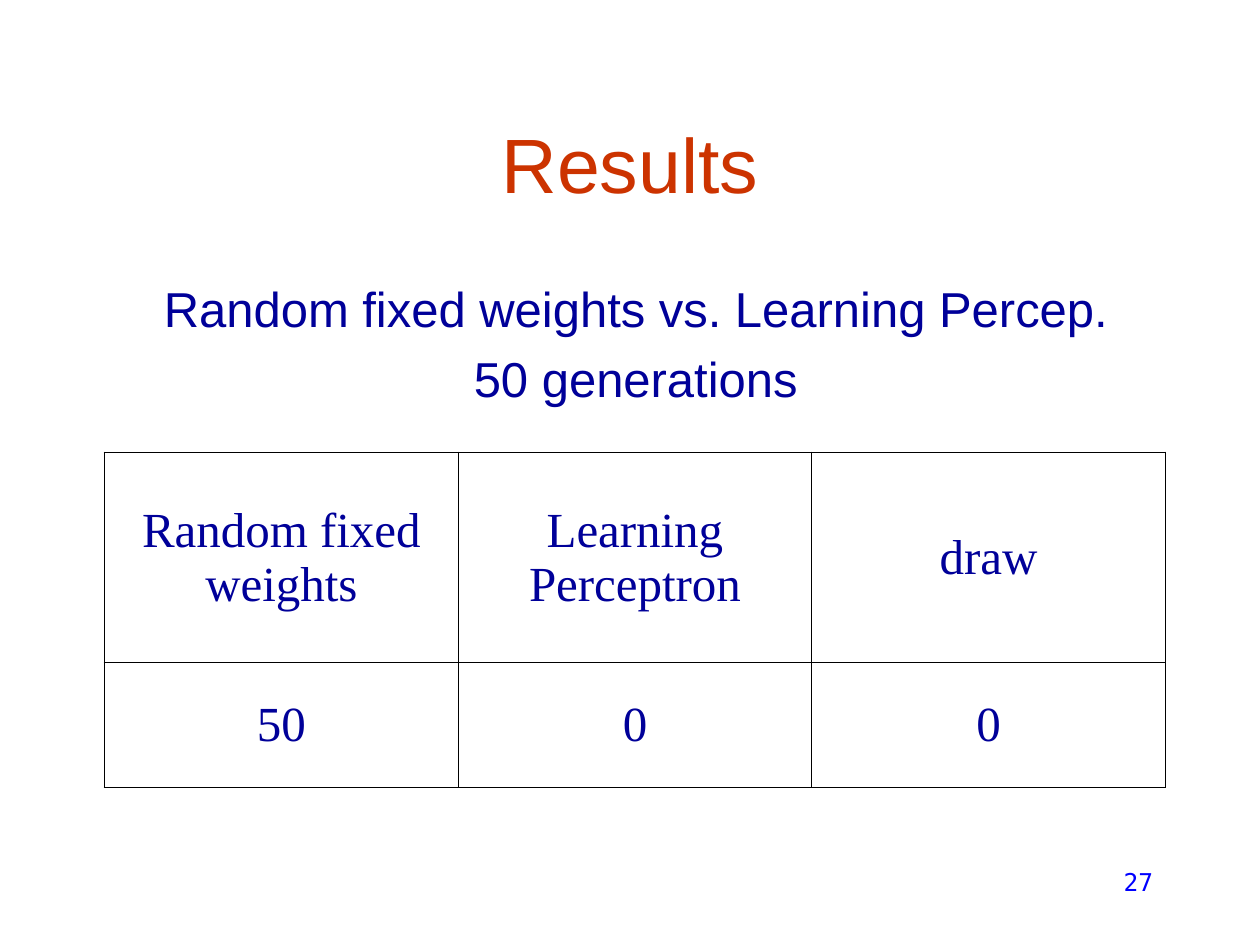
from lxml import etree
from pptx import Presentation
from pptx.dml.color import RGBColor
from pptx.enum.text import MSO_ANCHOR, MSO_AUTO_SIZE, PP_ALIGN
from pptx.oxml.ns import qn
from pptx.util import Inches, Pt

CENTER, RIGHT = PP_ALIGN.CENTER, PP_ALIGN.RIGHT
TOP, MIDDLE = MSO_ANCHOR.TOP, MSO_ANCHOR.MIDDLE
NO_FIT = MSO_AUTO_SIZE.NONE

COLORS = {
    "title": "CC3300",
    "text": "000099",
    "number": "0000FF",
    "border": "000000",
}
OUTER, INNER = 1.08, 0.45  # table border widths in points


def write(tf, lines, size, font, color, align=CENTER, before=0,
          left=0, hanging=0):
    """Write one paragraph per line, without bullets."""
    for i, line in enumerate(lines):
        p = tf.paragraphs[0] if i == 0 else tf.add_paragraph()
        p.alignment = align
        p.space_before = Pt(before)
        pPr = p._p.get_or_add_pPr()
        pPr.set("marL", str(Inches(left)))
        pPr.set("indent", str(Inches(hanging)))
        etree.SubElement(pPr, qn("a:buNone"))
        r = p.add_run()
        r.text = line
        r.font.size = Pt(size)
        r.font.name = font
        r.font.color.rgb = RGBColor.from_string(COLORS[color])


def place(sp, box, insets, anchor=TOP):
    """Move a text shape to its box and return its text frame."""
    sp.left, sp.top, sp.width, sp.height = map(Inches, box)
    tf = sp.text_frame
    tf.word_wrap = True
    tf.auto_size = NO_FIT
    tf.vertical_anchor = anchor
    (tf.margin_left, tf.margin_top,
     tf.margin_right, tf.margin_bottom) = map(Inches, insets)
    return tf


def add_title(s, box):
    tf = place(s.shapes.title, box, (0.1, 0.05, 0.14, 0.05), MIDDLE)
    write(tf, ["Results"], 44, "Arial", "title", left=0.04)


def add_subtitle(s, box):
    tf = place(s.placeholders[1], box, (0, 0, 0.04, 0))
    write(tf, ["Random fixed weights vs. Learning Percep.", "50 generations"],
          28, "Arial", "text", before=6.4, left=0.15, hanging=-0.11)


def set_borders(cell, widths):
    tcPr = cell._tc.get_or_add_tcPr()
    for side, width in widths.items():
        ln = etree.SubElement(tcPr, qn(f"a:ln{side}"), w=str(Pt(width)))
        fill = etree.SubElement(ln, qn("a:solidFill"))
        etree.SubElement(fill, qn("a:srgbClr"), val=COLORS["border"])


def add_results(s, box, rows, heights):
    n_rows, n_cols = len(rows), len(rows[0])
    table = s.shapes.add_table(n_rows, n_cols, *map(Inches, box)).table
    table.first_row = table.horz_banding = False
    for col in table.columns:
        col.width = Inches(box[2] / n_cols)
    for i, (values, height) in enumerate(zip(rows, heights)):
        table.rows[i].height = Inches(height)
        for j, value in enumerate(values):
            cell = table.cell(i, j)
            cell.vertical_anchor = MIDDLE
            cell.margin_left = cell.margin_right = Inches(0.06)
            cell.margin_top = cell.margin_bottom = Inches(0.05)
            # Heavier lines on the outside of the table
            set_borders(cell, {
                "L": OUTER if j == 0 else INNER,
                "R": OUTER if j == n_cols - 1 else INNER,
                "T": OUTER if i == 0 else INNER,
                "B": OUTER if i == n_rows - 1 else INNER,
            })
            cell.fill.background()
            write(cell.text_frame, [value], 28, "Times New Roman", "text")


def add_page_number(s, box):
    sp = s.shapes.add_textbox(*map(Inches, box))
    tf = place(sp, box, (0.1, 0.05, 0.1, 0.05))
    write(tf, ["27"], 14, "DejaVu Sans Mono", "number", align=RIGHT)


def main():
    prs = Presentation()
    prs.slide_width, prs.slide_height = Inches(10), Inches(7.5)
    s = prs.slides.add_slide(prs.slide_layouts[1])

    add_title(s, (0.75, 0.67, 8.5, 1.25))
    add_subtitle(s, (0.67, 2.21, 8.75, 1.08))
    add_results(s, (0.83, 3.59, 8.42, 2.66), [
        ["Random fixed weights", "Learning Perceptron", "draw"],
        ["50", "0", "0"],
    ], heights=(1.67, 0.99))
    add_page_number(s, (7.17, 6.83, 2.08, 0.5))

    prs.save("out.pptx")


if __name__ == "__main__":
    main()
